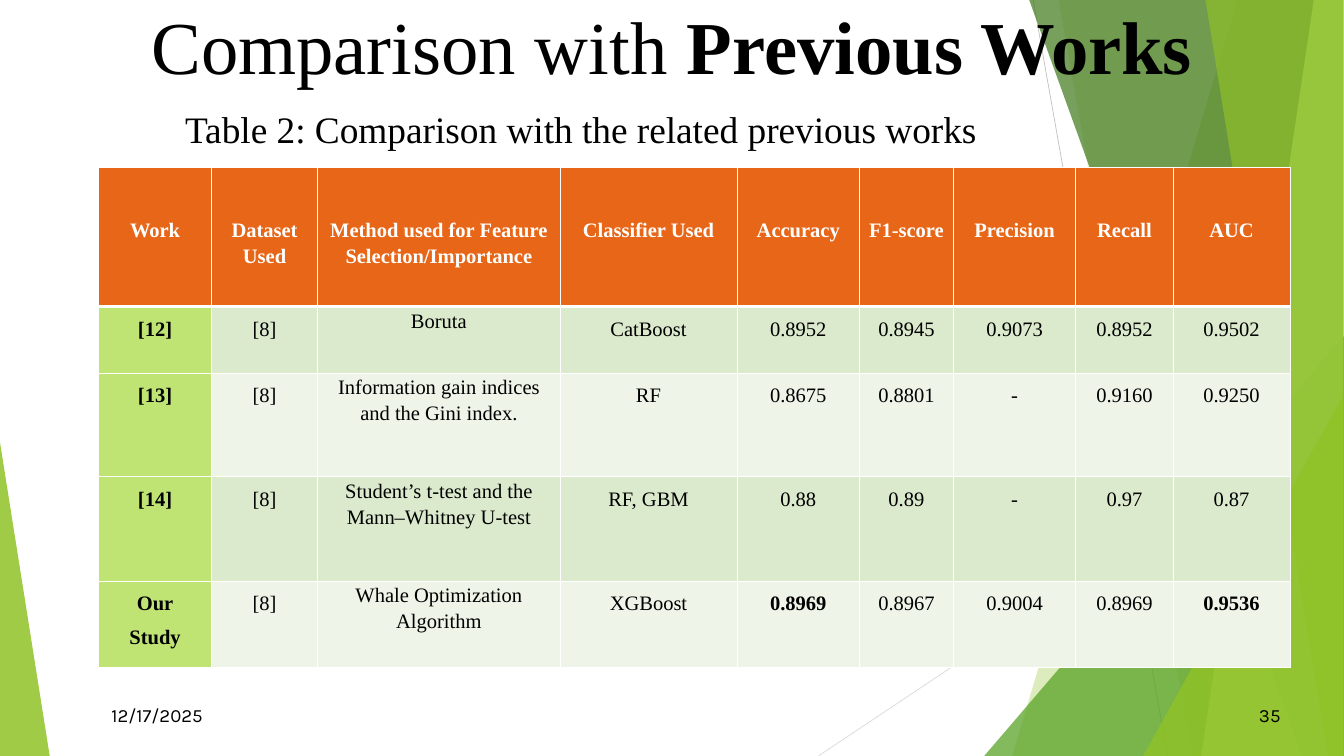
"""Build a slide comparing classifier results with previous works."""
from lxml import etree
from pptx import Presentation
from pptx.dml.color import RGBColor
from pptx.enum.shapes import MSO_CONNECTOR, MSO_SHAPE
from pptx.enum.text import MSO_ANCHOR, PP_ALIGN
from pptx.oxml import parse_xml
from pptx.oxml.ns import nsdecls, qn
from pptx.util import Pt

PX = 9525
STRAIGHT = MSO_CONNECTOR.STRAIGHT
TRIANGLE = MSO_SHAPE.ISOSCELES_TRIANGLE
CENTER = PP_ALIGN.CENTER
TOP, MIDDLE = MSO_ANCHOR.TOP, MSO_ANCHOR.MIDDLE
SERIF, SANS = "Times New Roman", "Karla"

BLACK = RGBColor(0x00, 0x00, 0x00)
WHITE = RGBColor(0xFF, 0xFF, 0xFF)
SILVER = RGBColor(0xBF, 0xBF, 0xBF)
LIGHT_GRAY = RGBColor(0xD9, 0xD9, 0xD9)
LIME = RGBColor(0x90, 0xC2, 0x26)
GREEN = RGBColor(0x54, 0xA0, 0x21)
DARK_GREEN = RGBColor(0x3F, 0x78, 0x19)
PALE_LIME = RGBColor(0xC0, 0xE4, 0x74)
ORANGE = RGBColor(0xE7, 0x66, 0x18)
BAND_DARK = RGBColor(0xDB, 0xE9, 0xCD)
BAND_LIGHT = RGBColor(0xEE, 0xF4, 0xE8)


def fill_facet(shape, color, opacity):
    shape.shadow.inherit = False
    shape.fill.solid()
    shape.fill.fore_color.rgb = color
    shape.line.fill.background()
    color_element = shape.fill._xPr.find(qn("a:solidFill"))[0]
    etree.SubElement(color_element, qn("a:alpha")).set("val", str(opacity * 1000))


def add_run(paragraph, text, size, font, color, bold):
    run = paragraph.add_run()
    run.text = text
    run.font.size = Pt(size)
    run.font.name = font
    run.font.color.rgb = color
    run.font.bold = bold


presentation = Presentation()
presentation.slide_width = 1920 * PX
presentation.slide_height = 1080 * PX
slide = presentation.slides.add_slide(presentation.slide_layouts[6])
shapes = slide.shapes

for x1, y1, x2, y2, color in [
    (1476, 0, 1668, 1080, SILVER),
    (1919, 580, 1169, 1080, LIGHT_GRAY),
]:
    line = shapes.add_connector(STRAIGHT, x1 * PX, y1 * PX, x2 * PX, y2 * PX)
    line.line.color.rgb = color
    line.line.width = Pt(0.75)
    etree.SubElement(line._element.spPr, qn("a:effectLst"))

facets = [
    ("band", (1768, 1446), LIME, 30),
    ("band", (1512, 1703), LIME, 20),
    ("triangle", (1406, 480, 514, 600, 1), GREEN, 72),
    ("band", (1470, 1860), DARK_GREEN, 70),
    ("band", (1877, 1716), PALE_LIME, 70),
    ("band", (1722, 1897), LIME, 65),
    ("triangle", (1633, 565, 286, 515, 1), LIME, 80),
    ("triangle", (0, 632, 71, 448, 0), LIME, 85),
]
for kind, geometry, color, opacity in facets:
    if kind == "band":
        top_left, bottom_left = geometry
        builder = shapes.build_freeform(top_left, -1, scale=float(PX))
        builder.add_line_segments([(1919, -1), (1919, 1080), (bottom_left, 1080)])
        facet = builder.convert_to_shape()
    else:
        left, top, width, height, apex = geometry
        facet = shapes.add_shape(TRIANGLE, left * PX, top * PX, width * PX, height * PX)
        facet.adjustments[0] = apex
    fill_facet(facet, color, opacity)

labels = [
    ((197, -4, 1526, 147), [("Comparison with ", False), ("Previous Works", True)],
     80, SERIF, 98.4, TOP),
    ((224, 151, 1212, 64), [("Table 2: Comparison with the related previous works", False)],
     40, SERIF, 48, TOP),
    ((139, 993, 171, 58), [("12/17/2025", False)], 20, SANS, None, MIDDLE),
    ((1760, 993, 108, 58), [("35", False)], 20, SANS, None, MIDDLE),
]
for box, runs, size, font, spacing, anchor in labels:
    text_frame = shapes.add_textbox(*[length * PX for length in box]).text_frame
    text_frame.word_wrap = True
    text_frame.vertical_anchor = anchor
    paragraph = text_frame.paragraphs[0]
    paragraph.alignment = CENTER
    if spacing:
        text_frame.margin_left = text_frame.margin_right = 0
        text_frame.margin_top = text_frame.margin_bottom = 0
        paragraph.line_spacing = Pt(spacing)
    for text, bold in runs:
        add_run(paragraph, text, size, font, BLACK, bold)

column_widths = [161, 152, 346, 253, 175, 134, 175, 139, 167]
row_heights = [199, 95, 148, 149, 124]
METHOD_COLUMN = 2
HEADER_MARGIN = 69
rows = [
    ["Work", "Dataset Used", "Method used for Feature Selection/Importance",
     "Classifier Used", "Accuracy", "F1-score", "Precision", "Recall", "AUC"],
    ["[12]", "[8]", "Boruta", "CatBoost",
     "0.8952", "0.8945", "0.9073", "0.8952", "0.9502"],
    ["[13]", "[8]", "Information gain indices and the Gini index.", "RF",
     "0.8675", "0.8801", "-", "0.9160", "0.9250"],
    ["[14]", "[8]", "Student’s t-test and the Mann–Whitney U-test", "RF, GBM",
     "0.88", "0.89", "-", "0.97", "0.87"],
    ["Our\nStudy", "[8]", "Whale Optimization\nAlgorithm", "XGBoost",
     "0.8969", "0.8967", "0.9004", "0.8969", "0.9536"],
]
best_cells = {(4, 4), (4, 8)}

table = shapes.add_table(
    len(rows), len(column_widths), 141 * PX, 239 * PX,
    sum(column_widths) * PX, sum(row_heights) * PX,
).table
for column, width in zip(table.columns, column_widths):
    column.width = width * PX
for row, height in zip(table.rows, row_heights):
    row.height = height * PX

for row_index, row in enumerate(rows):
    header = row_index == 0
    for column_index, text in enumerate(row):
        cell = table.cell(row_index, column_index)
        cell.margin_left = cell.margin_right = 13 * PX
        cell.margin_top = HEADER_MARGIN * PX if header else 0
        cell.margin_bottom = 0
        cell.fill.solid()
        if header:
            cell.fill.fore_color.rgb = ORANGE
        elif column_index == 0:
            cell.fill.fore_color.rgb = PALE_LIME
        else:
            cell.fill.fore_color.rgb = BAND_DARK if row_index % 2 else BAND_LIGHT

        heavy_side = {0: "B", 1: "T"}.get(row_index)
        for position, side in enumerate("LRTB"):
            weight = Pt(3 if side == heavy_side else 1)
            border = parse_xml(
                f'<a:ln{side} {nsdecls("a")} w="{weight}"><a:solidFill>'
                f'<a:srgbClr val="{WHITE}"/></a:solidFill></a:ln{side}>'
            )
            cell._tc.get_or_add_tcPr().insert(position, border)

        bold = header or column_index == 0 or (row_index, column_index) in best_cells
        for line_index, line_text in enumerate(text.split("\n")):
            text_frame = cell.text_frame
            paragraph = text_frame.add_paragraph() if line_index else text_frame.paragraphs[0]
            paragraph.alignment = CENTER
            paragraph.line_spacing = 1.15 if header or column_index == METHOD_COLUMN else 1.5
            add_run(paragraph, line_text, 22, SERIF, WHITE if header else BLACK, bold)

presentation.save("out.pptx")
